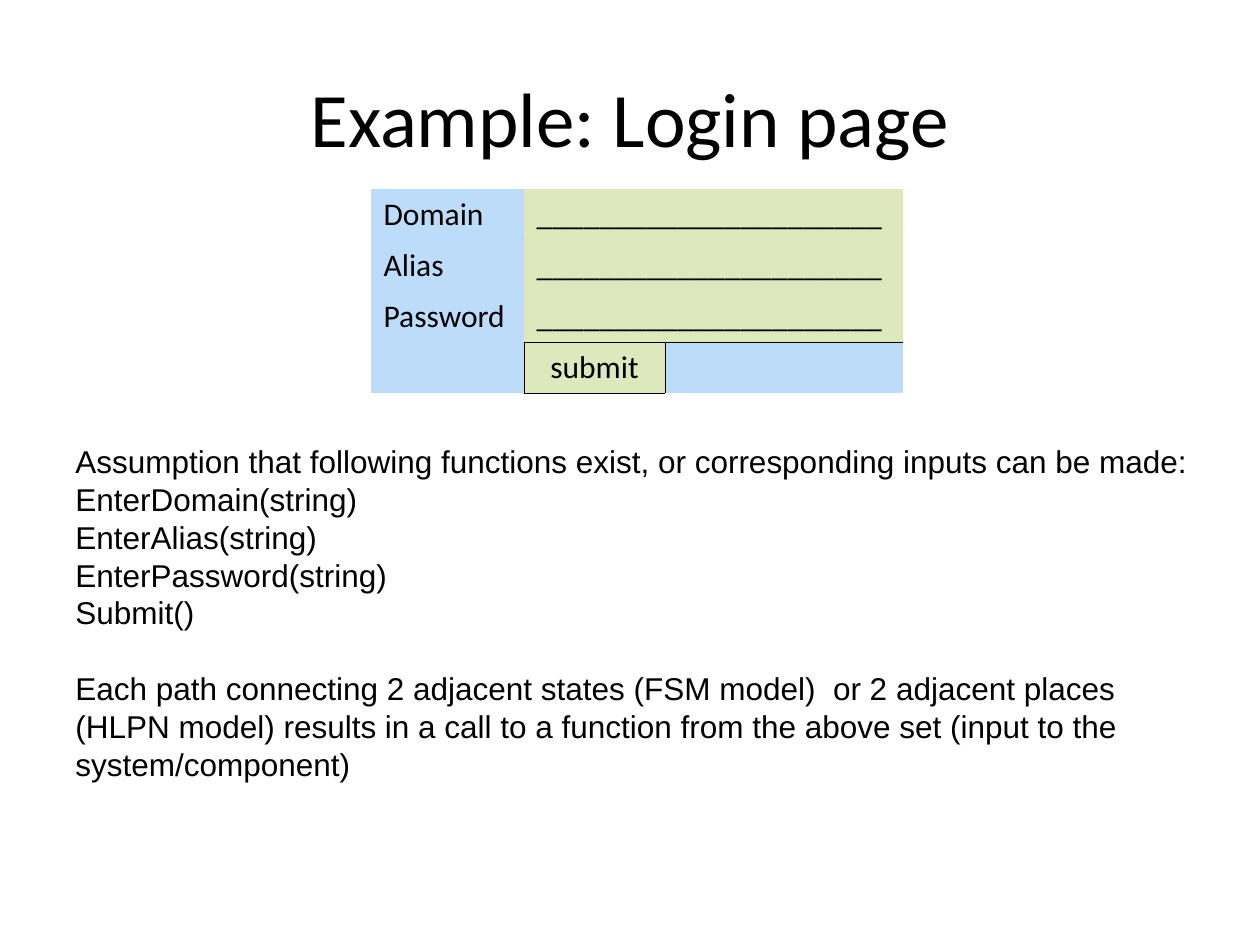
import pptx
import pptx.util
import pptx.dml.color
import pptx.enum.text
import pptx.oxml
import pptx.oxml.ns
import lxml.etree

ALIGN = pptx.enum.text.PP_ALIGN
ANCHOR = pptx.enum.text.MSO_ANCHOR
NO_STYLE = "{2D5ABB26-0587-4C30-8999-92F81FD0307C}"
BLACK, BLUE, GREEN = "000000", "91C6F7", "C9DA92"

TITLE = "Example: Login page"
LABELS = ["Domain", "Alias", "Password"]
FIELD = "_" * 22
BUTTON = "submit"
NOTES = [
    "Assumption that following functions exist, or corresponding inputs can be made:",
    "EnterDomain(string)",
    "EnterAlias(string)",
    "EnterPassword(string)",
    "Submit()",
    "Each path connecting 2 adjacent states (FSM model)  or 2 adjacent places "
    "(HLPN model) results in a call to a function from the above set "
    "(input to the system/component)",
]
LINE = 21.6
COLS = [153, 141, 238]
ROW = 51


def px(n):
    return pptx.util.Emu(round(n * 914400 / 126))


def color(value):
    return pptx.dml.color.RGBColor.from_string(value)


def style(p, size, font, align=ALIGN.LEFT):
    p.alignment = align
    for r in p.runs:
        r.font.size = pptx.util.Pt(size)
        r.font.name = font
        r.font.color.rgb = color(BLACK)


def add_text(s, box, text, size, font, align=ALIGN.LEFT, anchor=ANCHOR.TOP):
    tf = s.shapes.add_textbox(*map(px, box)).text_frame
    tf.word_wrap = True
    tf.vertical_anchor = anchor
    tf.text = text
    for p in tf.paragraphs:
        style(p, size, font, align)
    return tf


def fill_cell(cell, value, text="", align=ALIGN.LEFT):
    cell.text = text
    style(cell.text_frame.paragraphs[0], 18, "Calibri", align)
    cell.fill.solid()
    cell.fill.fore_color.rgb = color(value)
    rgb = cell._tc.tcPr.find(".//" + pptx.oxml.ns.qn("a:srgbClr"))
    lxml.etree.SubElement(rgb, pptx.oxml.ns.qn("a:alpha"), val="60000")


def outline(cell, sides):
    for i, side in enumerate(sides):
        cell._tc.tcPr.insert(i, pptx.oxml.parse_xml(
            f'<a:ln{side} {pptx.oxml.ns.nsdecls("a")} w="5715"><a:solidFill>'
            f'<a:srgbClr val="{BLACK}"/></a:solidFill></a:ln{side}>'))


def add_form(s):
    rows = len(LABELS) + 1
    frame = s.shapes.add_table(rows, len(COLS), px(371), px(189),
                               px(sum(COLS)), px(ROW * rows))
    table = frame.table
    table._tbl.tblPr.find(pptx.oxml.ns.qn("a:tableStyleId")).text = NO_STYLE
    table.first_row = table.horz_banding = False
    for column, width in zip(table.columns, COLS):
        column.width = px(width)
    for i, label in enumerate(LABELS):
        table.cell(i, 1).merge(table.cell(i, 2))
        fill_cell(table.cell(i, 0), BLUE, label)
        fill_cell(table.cell(i, 1), GREEN, FIELD)
    last = rows - 1
    fill_cell(table.cell(last, 0), BLUE)
    fill_cell(table.cell(last, 1), GREEN, BUTTON, ALIGN.CENTER)
    fill_cell(table.cell(last, 2), BLUE)
    outline(table.cell(last, 0), "R")
    outline(table.cell(last, 1), "LRTB")
    outline(table.cell(last, 2), "L")


def main():
    prs = pptx.Presentation()
    prs.slide_width, prs.slide_height = px(1260), px(945)
    s = prs.slides.add_slide(prs.slide_layouts[6])
    add_text(s, (63, 38, 1134, 157), TITLE, 44, "Calibri", ALIGN.CENTER, ANCHOR.MIDDLE)
    add_form(s)
    tf = add_text(s, (63, 436, 1166, 353), "\n".join(NOTES), 18, "Arial")
    for p in tf.paragraphs:
        p.line_spacing = pptx.util.Pt(LINE)
    tf.paragraphs[-1].space_before = pptx.util.Pt(LINE)
    prs.save("out.pptx")


if __name__ == "__main__":
    main()
